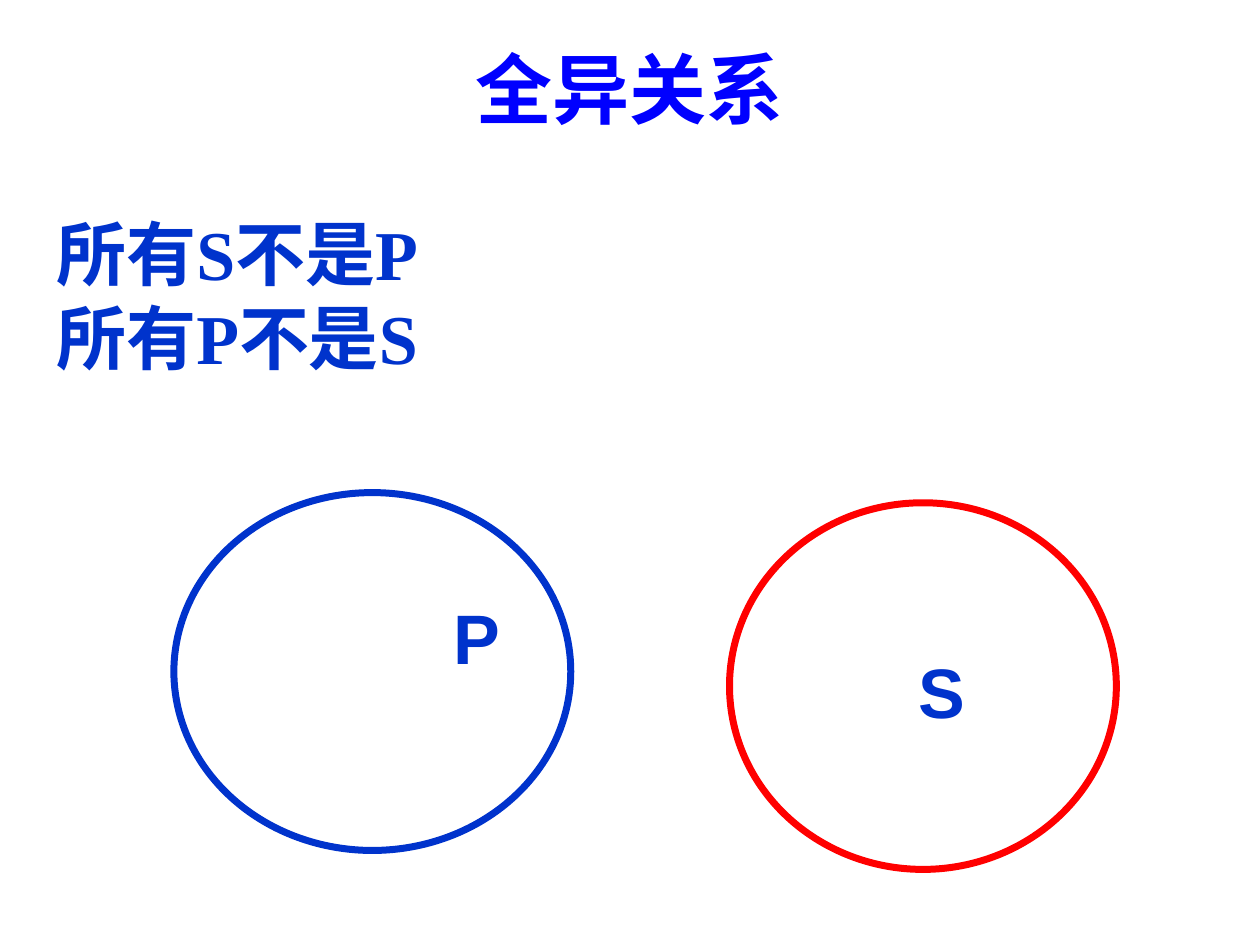
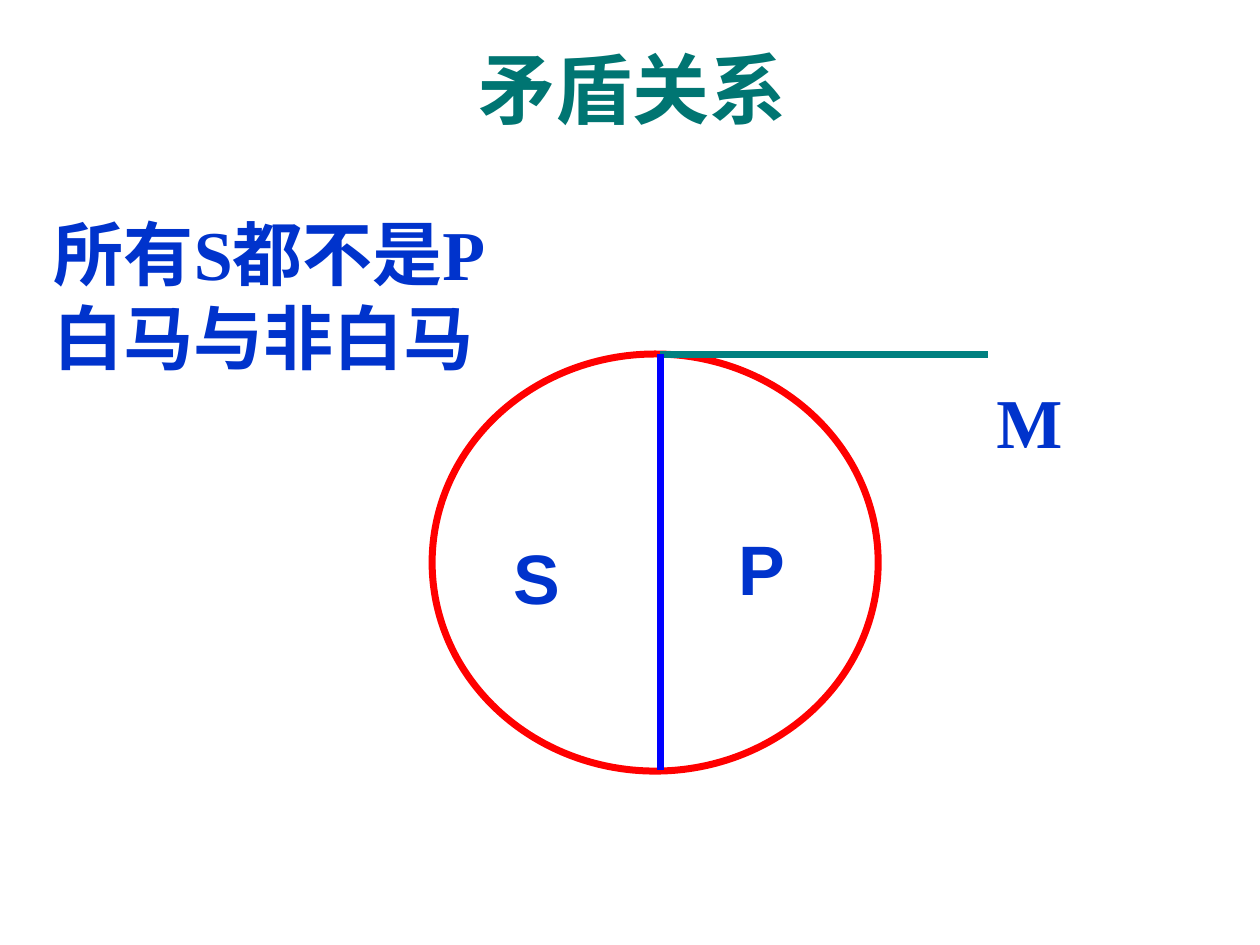
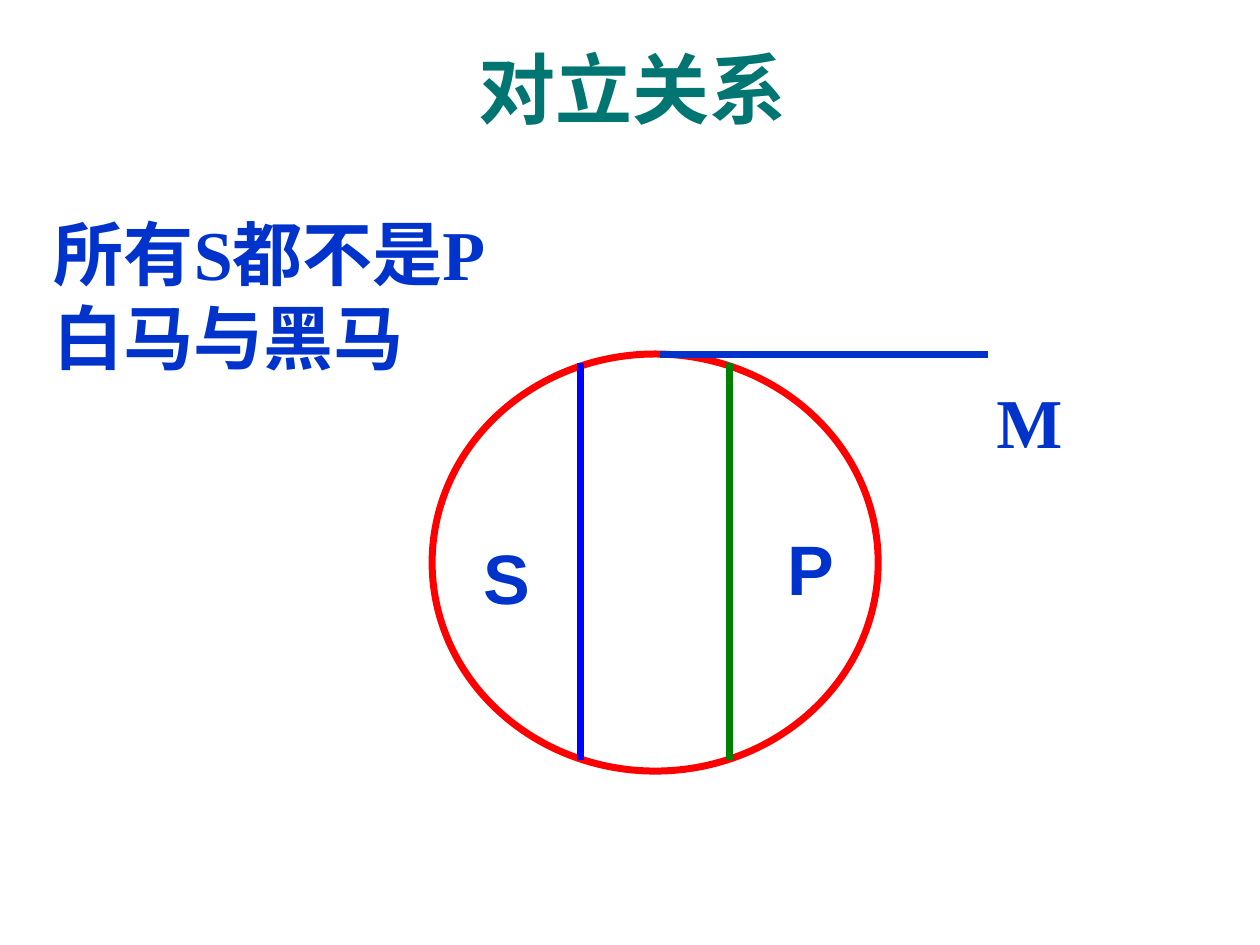
from pptx import Presentation
from pptx import util as u
from pptx.dml.color import RGBColor
from pptx.enum import shapes, text
from pptx.oxml.ns import qn
from lxml import etree

BLUE = RGBColor(0x00, 0x00, 0xFF)
ROYAL = RGBColor(0x00, 0x33, 0xCC)
RED = RGBColor(0xFF, 0x00, 0x00)
GREEN = RGBColor(0x00, 0x80, 0x00)
TEAL = RGBColor(0x00, 0x80, 0x80)
DARK_TEAL = RGBColor(0x00, 0x75, 0x72)

SERIF, SANS = "Times New Roman", "Arial"
COLUMNS, ROWS = 20, 15
STROKE = u.Pt(4)
BODY_LEADING = u.Pt(48)


class Deck:
    """Draws on the current slide; lengths are grid columns and rows."""

    def __init__(self):
        self.deck = Presentation()
        self.deck.slide_width = u.Inches(10)
        self.deck.slide_height = u.Inches(7.5)
        self.page = None

    def x(self, columns):
        return round(self.deck.slide_width * columns / COLUMNS)

    def y(self, rows):
        return round(self.deck.slide_height * rows / ROWS)

    def area(self, left, top, width, height):
        return self.x(left), self.y(top), self.x(width), self.y(height)

    def new_page(self):
        self.page = self.deck.slides.add_slide(self.deck.slide_layouts[6])

    def text_box(self, area, lines, size, font, color):
        box = self.page.shapes.add_textbox(*self.area(*area))
        frame = box.text_frame
        frame.word_wrap = True
        frame.text = "\n".join(lines)
        for para in frame.paragraphs:
            para.font.size = u.Pt(size)
            para.font.name = font
            para.font.bold = True
            para.font.color.rgb = color
        return frame

    def title(self, words, color, left=0.7):
        frame = self.text_box((left, 0, 18.68, 2.78), [words], 44, SERIF, color)
        frame.vertical_anchor = text.MSO_ANCHOR.MIDDLE
        frame.paragraphs[0].alignment = text.PP_ALIGN.CENTER

    def body(self, lines, left=0.66):
        frame = self.text_box((left, 3.24, 18.68, 10.86), lines, 40, SERIF, ROYAL)
        for para in frame.paragraphs:
            para.line_spacing = BODY_LEADING
        return frame

    def letter(self, name, left, top):
        self.text_box((left, top, 1.88, 1.54), [name], 40, SANS, ROYAL)

    def circle(self, area, color):
        oval = self.page.shapes.add_shape(shapes.MSO_SHAPE.OVAL, *self.area(*area))
        oval.shadow.inherit = False
        oval.fill.background()
        oval.line.color.rgb = color
        oval.line.width = STROKE

    def line(self, start, end, color):
        (x1, y1), (x2, y2) = start, end
        line = self.page.shapes.add_connector(
            shapes.MSO_CONNECTOR.STRAIGHT,
            self.x(x1), self.y(y1), self.x(x2), self.y(y2))
        line.line.color.rgb = color
        line.line.width = STROKE
        etree.SubElement(line._element.spPr, qn("a:effectLst"))

    def chord(self, column, top, bottom, color):
        self.line((column, top), (column, bottom), color)

    def divided_genus(self, title, example, tangent_color):
        """Starts a page where S and P are parts of one circle under M."""
        self.new_page()
        self.title(title, DARK_TEAL)
        frame = self.body(["所有S都不是P", example, "M"])
        genus = frame.paragraphs[-1]._p.get_or_add_pPr()
        genus.set("marL", str(self.x(14.96)))
        self.circle((6.86, 5.62, 7.08, 6.62), RED)
        self.line((10.48, 5.62), (15.68, 5.62), tangent_color)


def disjoint(deck):
    deck.new_page()
    deck.title("全异关系", BLUE, left=0.66)
    deck.body(["所有S不是P", "所有P不是S"], left=0.7)
    deck.circle((11.58, 7.98, 6.14, 5.82), RED)
    deck.circle((2.76, 7.82, 6.3, 5.68), ROYAL)
    deck.letter("S", 14.38, 10.2)
    deck.letter("P", 7, 9.34)


def contradictory(deck):
    deck.divided_genus("矛盾关系", "白马与非白马", TEAL)
    deck.chord(10.48, 5.62, 12.22, BLUE)
    deck.letter("S", 7.96, 8.38)
    deck.letter("P", 11.52, 8.24)


def contrary(deck):
    deck.divided_genus("对立关系", "白马与黑马", ROYAL)
    for column, color in ((9.22, BLUE), (11.58, GREEN)):
        deck.chord(column, 5.76, 12.06, color)
    deck.letter("S", 7.48, 8.38)
    deck.letter("P", 12.3, 8.24)


def main():
    deck = Deck()
    for build in (disjoint, contradictory, contrary):
        build(deck)
    deck.deck.save("out.pptx")


if __name__ == "__main__":
    main()
